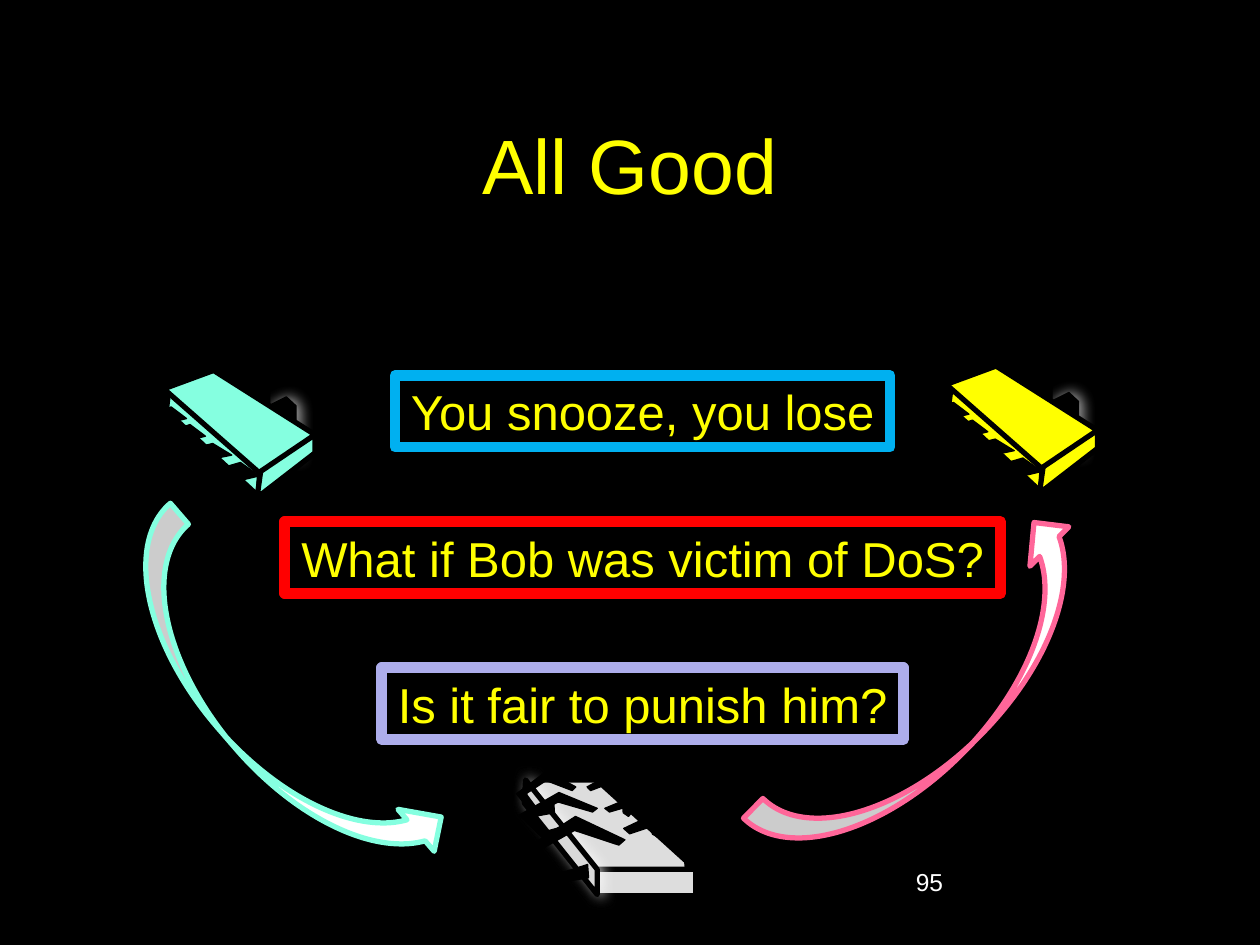
from dataclasses import dataclass

from lxml.etree import SubElement
from pptx import Presentation
from pptx.dml.color import RGBColor
from pptx.enum.shapes import MSO_SHAPE as Kind
from pptx.enum.text import MSO_ANCHOR as Anchor, MSO_AUTO_SIZE as Fit, PP_ALIGN as Align
from pptx.oxml.ns import qn
from pptx.util import Inches, Pt


@dataclass(frozen=True)
class Theme:
    font: str = "Arial"
    back: str = "000000"
    white: str = "FFFFFF"
    gold: str = "FFFF00"
    mint: str = "85FFE0"
    pink: str = "FF6699"
    red: str = "FF0000"
    lilac: str = "ADADEB"
    sky: str = "00B0F0"
    pale: str = "DDDDDD"
    shade: str = "D9D9D9"
    title: int = 44
    body: int = 28
    small: int = 14
    thin: float = 0.75
    bold: int = 3
    frame: int = 6


# Outlines as shares of their own frame
POST = [(0, .14), (.65, 0), (1, .14), (1, 1), (.65, .86), (.65, .29), (0, .43)]
LEG = [(.58, 0), (1, .21), (.28, .33), (.28, 1), (0, .78), (0, .12)]
SIDE = [(.03, 0), (1, .76), (.99, 1), (0, .21)]
FRONT = [(1, 0), (1, .29), (0, 1), (.07, .54)]
TOP = [(.33, 0), (1, .63), (.63, 1), (0, .18)]
HOOK = [(.3, 1), (0, .5), (.51, 0), (1, .35), (.94, .43), (.5, .21), (.16, .5), (.36, .85)]
LEFT = [(.63, .72), (.64, .92)] + HOOK
RIGHT = [(.6, .72), (.61, .92)] + [(1 - x, y) for x, y in HOOK]
LID = [(0, 0), (.42, 1), (1, 1), (.42, 0)]
EDGE = [(.02, 0), (0, .2), (1, 1), (1, .78)]

# Frames (column, row, width, height) in grid cells
POSTS = [(23.8, 33.1, 2.2, 5.1), (21.3, 31.5, 2.2, 5.1),
         (19.2, 30.1, 2.2, 5.1), (17, 29.4, 2.2, 4.4)]
LEGS = [(17, 36.7, 3.6, 5.1), (14.8, 35.2, 3.6, 4.4),
        (13.4, 33.7, 2.9, 4.4), (11.9, 32.3, 2.9, 4.4)]
CLAWS = [(LEFT, (41.6, 64.8, 8, 5.3)), (LEFT, (41.2, 62.9, 6.2, 3.6)),
         (LEFT, (41, 61.2, 4.7, 3.6)), (RIGHT, (48, 62.9, 6.2, 3.6)),
         (RIGHT, (46.6, 61.2, 4.7, 3.6)), (RIGHT, (49.5, 63.9, 8, 5.3))]


class Deck:
    COLS, ROWS = 100, 75

    def __init__(self, theme):
        self.theme = theme
        self.prs = Presentation()
        self.prs.slide_width, self.prs.slide_height = Inches(10), Inches(7.5)
        self.slide = self.prs.slides.add_slide(self.prs.slide_layouts[6])
        fill = self.slide.background.fill
        fill.solid()
        fill.fore_color.rgb = RGBColor.from_string(theme.back)

    def at(self, col, row):
        return (round(col * self.prs.slide_width / self.COLS),
                round(row * self.prs.slide_height / self.ROWS))

    def area(self, box):
        return self.at(*box[:2]) + self.at(*box[2:])

    def paint(self, shape, fill, line, width):
        shape.shadow.inherit = False
        shape.fill.solid()
        shape.fill.fore_color.rgb = RGBColor.from_string(fill)
        shape.line.color.rgb = RGBColor.from_string(line)
        shape.line.width = Pt(width)
        return shape

    def cast(self, shape, tone, blur, dist, turn, alpha):
        """Give a shape a soft outer shadow."""
        effects = shape.element.spPr.find(qn("a:effectLst"))
        soft = SubElement(effects, qn("a:outerShdw"), blurRad=str(Pt(blur)),
                          dist=str(Pt(dist)), dir=str(turn * 60000), rotWithShape="0")
        color = SubElement(soft, qn("a:srgbClr"), val=tone)
        SubElement(color, qn("a:alpha"), val=str(alpha * 1000))

    def words(self, shape, text, size, color, align=Align.LEFT):
        para = shape.text_frame.paragraphs[0]
        para.text, para.alignment = text, align
        font = para.font
        font.name, font.size = self.theme.font, Pt(size)
        font.color.rgb = RGBColor.from_string(color)

    def label(self, box, text, size, color, align=Align.LEFT, anchor=Anchor.TOP):
        shape = self.slide.shapes.add_textbox(*self.area(box))
        shape.text_frame.word_wrap = True
        shape.text_frame.vertical_anchor = anchor
        self.words(shape, text, size, color, align)

    def panel(self, box, text, line):
        th = self.theme
        shape = self.slide.shapes.add_shape(Kind.RECTANGLE, *self.area(box))
        self.paint(shape, th.back, line, th.frame)
        self.cast(shape, th.back, 4, 3, 45, 40)
        shape.text_frame.word_wrap = False
        shape.text_frame.auto_size = Fit.SHAPE_TO_FIT_TEXT
        self.words(shape, text, th.body, th.gold, Align.CENTER)

    def arrow(self, box, turn, line):
        shape = self.slide.shapes.add_shape(Kind.CURVED_DOWN_ARROW, *self.area(box))
        self.paint(shape, self.theme.white, line, self.theme.bold)
        shape.rotation = turn
        shape.element.spPr.find(qn("a:xfrm")).set("flipH", "1")

    def form(self, group, dots, box, fill=None, shift=(0, 0)):
        """Draw an outline in its frame: thin black, or filled with a bold edge."""
        col, row, wide, high = box
        first, *rest = [self.at(col + shift[0] + x * wide, row + shift[1] + y * high)
                        for x, y in dots]
        pen = group.shapes.build_freeform(*first, scale=1.0)
        pen.add_line_segments(rest, close=True)
        th = self.theme
        return self.paint(pen.convert_to_shape(), fill or th.back, th.back,
                          th.bold if fill else th.thin)

    def glow(self, shape):
        self.cast(shape, self.theme.white, 8, 2, 0, 70)

    def chip(self, fill, shift=(0, 0)):
        group = self.slide.shapes.add_group_shape()
        posts = [self.form(group, POST, box, shift=shift) for box in POSTS]
        self.glow(posts[1])
        self.form(group, SIDE, (13.2, 30.8, 7.4, 8.6), fill, shift)
        self.form(group, FRONT, (20.4, 34.5, 4.6, 5), fill, shift)
        for box in LEGS:
            self.form(group, LEG, box, shift=shift)
        self.form(group, TOP, (13, 29.4, 12, 8.1), fill, shift)

    def crate(self):
        th = self.theme
        group = self.slide.shapes.add_group_shape()
        self.form(group, LID, (41.7, 61.9, 13.5, 7.1), th.pale)
        base = group.shapes.add_shape(Kind.RECTANGLE, *self.area((47.4, 69, 7.8, 2.1)))
        self.paint(base, th.pale, th.back, th.bold)
        self.glow(self.form(group, EDGE, (41.6, 61.9, 5.8, 9.1), th.shade))
        for dots, box in CLAWS:
            self.form(group, dots, box)


def main():
    th = Theme()
    deck = Deck(th)

    # Devices at the two upper corners
    deck.chip(th.gold, shift=(62.1, -.35))
    deck.chip(th.mint)

    # Title and page number
    deck.label((7.5, 6.7, 85, 12.5), "All Good", th.title, th.gold,
               Align.CENTER, Anchor.MIDDLE)
    deck.label((71.7, 68.3, 20.8, 5), "95", th.small, th.white)

    # Arrows down to the crate and up again
    deck.arrow((4.1, 51.7, 35.1, 8.8), 229.2, th.mint)
    deck.arrow((56.9, 51.1, 35.1, 8.8), 134.5, th.pink)

    # Framed lines, centred on one axis at equal steps
    lines = [("You snooze, you lose", 39.3, th.sky),
             ("What if Bob was victim of DoS?", 56.8, th.red),
             ("Is it fair to punish him?", 41.4, th.lilac)]
    for i, (text, wide, color) in enumerate(lines):
        deck.panel((51 - wide / 2, 29.8 + 11.6 * i, wide, 5.7), text, color)

    # Device at the bottom
    deck.crate()
    deck.prs.save("out.pptx")


if __name__ == "__main__":
    main()
